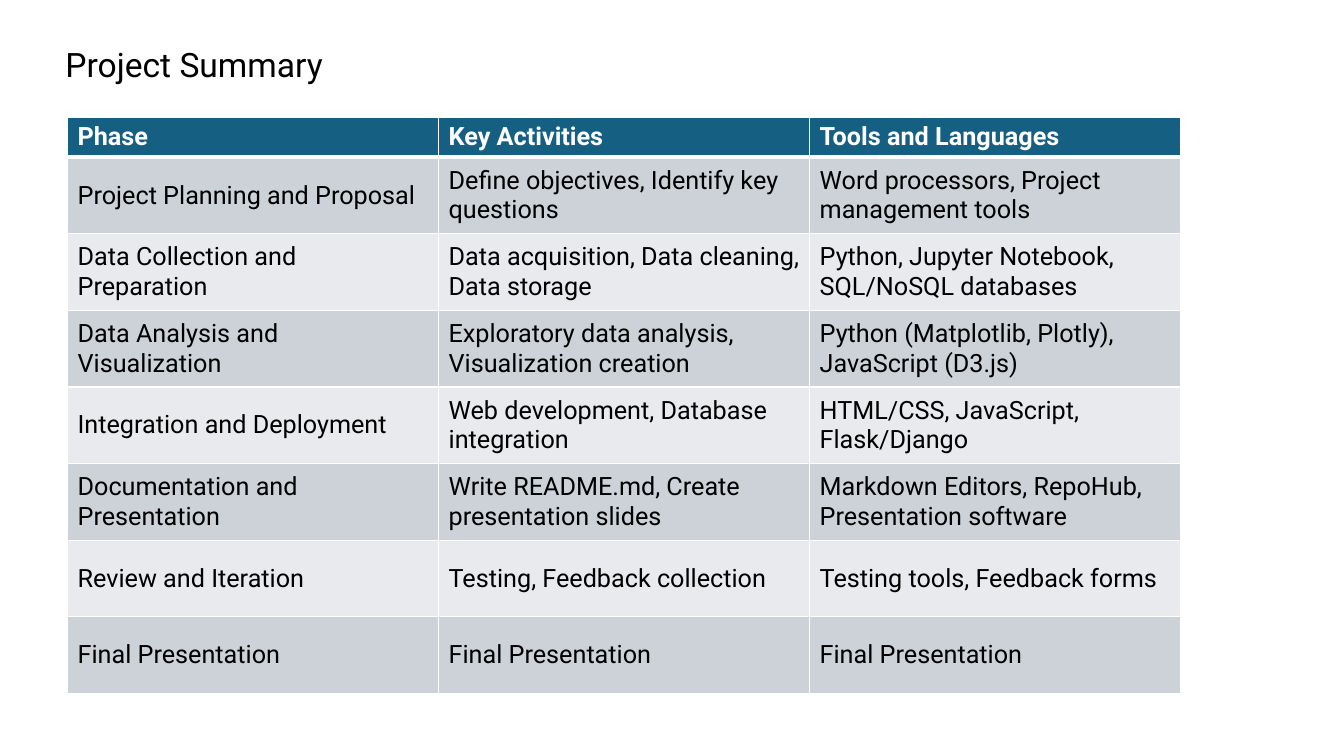
from lxml import etree
from pptx import Presentation
from pptx.dml.color import RGBColor
from pptx.enum import text
from pptx.oxml import ns
from pptx.util import Inches, Pt

FONT = "Roboto"
BLACK, WHITE = "000000", "FFFFFF"
HEADER_FILL = "156082"
BAND_FILLS = ("E8EAED", "CCD2D8")
PHASES = [
    ("Phase", "Key Activities", "Tools and Languages"),
    ("Project Planning and Proposal", "Define objectives, Identify key questions",
     "Word processors, Project management tools"),
    ("Data Collection and Preparation", "Data acquisition, Data cleaning, Data storage",
     "Python, Jupyter Notebook, SQL/NoSQL databases"),
    ("Data Analysis and Visualization", "Exploratory data analysis, Visualization creation",
     "Python (Matplotlib, Plotly), JavaScript (D3.js)"),
    ("Integration and Deployment", "Web development, Database integration",
     "HTML/CSS, JavaScript, Flask/Django"),
    ("Documentation and Presentation", "Write README.md, Create presentation slides",
     "Markdown Editors, RepoHub, Presentation software"),
    ("Review and Iteration", "Testing, Feedback collection", "Testing tools, Feedback forms"),
    ("Final Presentation", "Final Presentation", "Final Presentation"),
]


def rgb(color):
    """Return the colour for a hex string."""
    return RGBColor.from_string(color)


def set_text(tf, content, size, color, bold=False):
    """Put one formatted paragraph into a text frame."""
    tf.text = content
    tf.word_wrap = True
    font = tf.paragraphs[0].runs[0].font
    font.name, font.size, font.bold = FONT, Pt(size), bold
    font.color.rgb = rgb(color)


def add_title(slide, content):
    """Add the slide title as a text box."""
    sp = slide.shapes.add_textbox(Inches(0.55), Inches(0.39), Inches(8.19), Inches(0.5))
    set_text(sp.text_frame, content, 24, BLACK)
    sp.text_frame.auto_size = text.MSO_AUTO_SIZE.SHAPE_TO_FIT_TEXT


def set_borders(cell, color, widths):
    """Draw the left, right, top and bottom borders of a cell."""
    tc_pr = cell._tc.get_or_add_tcPr()
    for side, width in zip("LRTB", widths):
        ln = etree.SubElement(tc_pr, ns.qn(f"a:ln{side}"), w=str(Pt(width)))
        fill = etree.SubElement(ln, ns.qn("a:solidFill"))
        etree.SubElement(fill, ns.qn("a:srgbClr"), val=color)


def format_cell(cell, content, row):
    """Write and style one cell according to its row."""
    header = row == 0
    set_text(cell.text_frame, content, 18, WHITE if header else BLACK, header)
    cell.vertical_anchor = text.MSO_ANCHOR.MIDDLE
    set_borders(cell, WHITE, (1, 1, 3 if row == 1 else 1, 3 if header else 1))
    cell.fill.solid()
    cell.fill.fore_color.rgb = rgb(HEADER_FILL if header else BAND_FILLS[row % 2])


def add_phase_table(slide, rows):
    """Add the table of project phases."""
    table = slide.shapes.add_table(len(rows), len(rows[0]), Inches(0.67), Inches(1.16),
                                   Inches(11.04), Inches(5.75)).table
    for column in table.columns:
        column.width = Inches(3.68)
    for i, values in enumerate(rows):
        table.rows[i].height = Inches(0.76 if i else 0.39)
        for j, value in enumerate(values):
            format_cell(table.cell(i, j), value, i)


def main():
    """Build the project summary slide."""
    prs = Presentation()
    prs.slide_width, prs.slide_height = Inches(13.33), Inches(7.5)
    s = prs.slides.add_slide(prs.slide_layouts[6])
    add_title(s, "Project Summary")
    add_phase_table(s, PHASES)
    prs.save("out.pptx")


if __name__ == "__main__":
    main()
